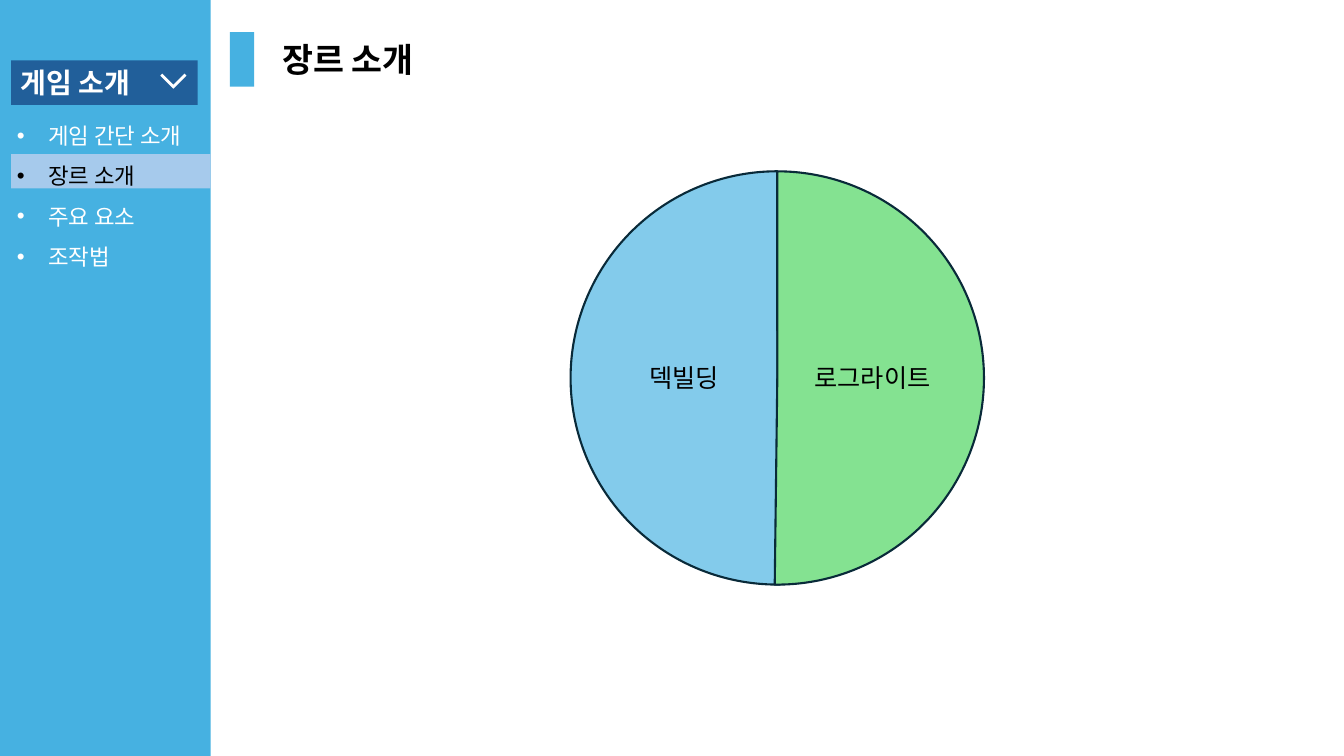
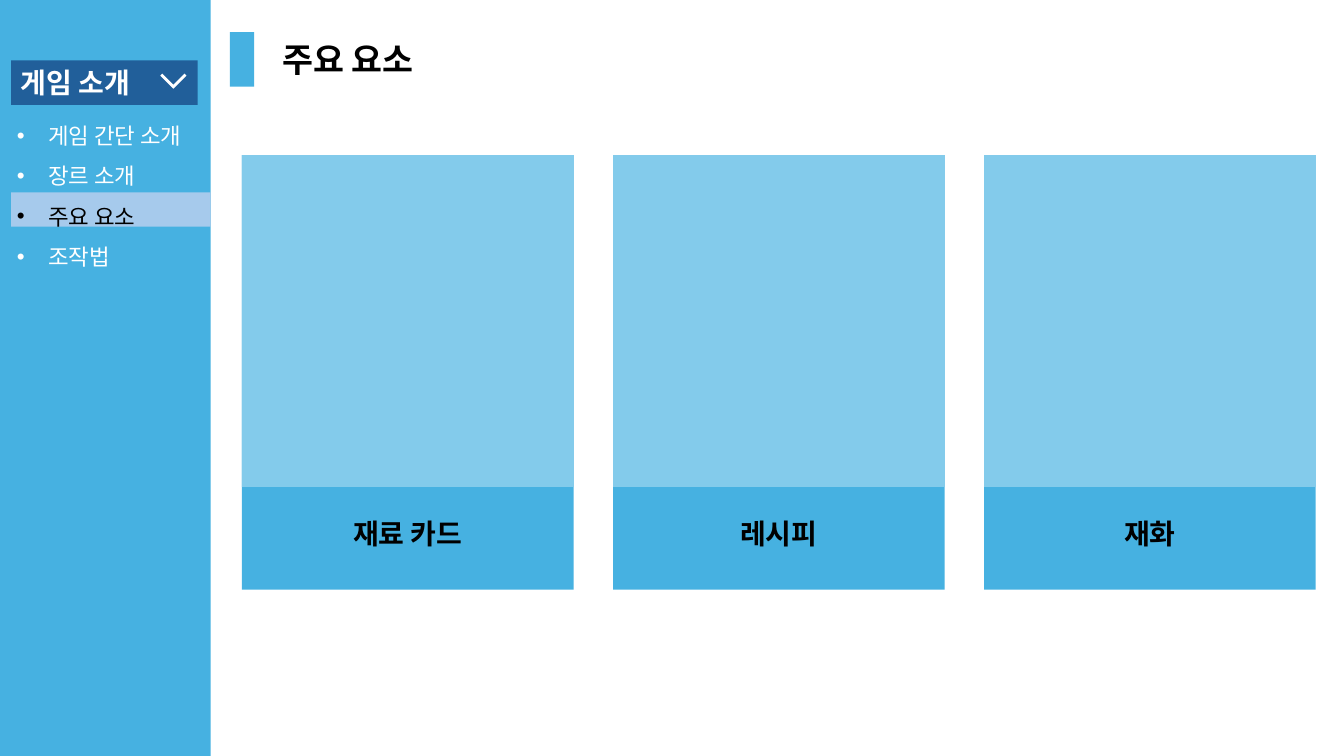
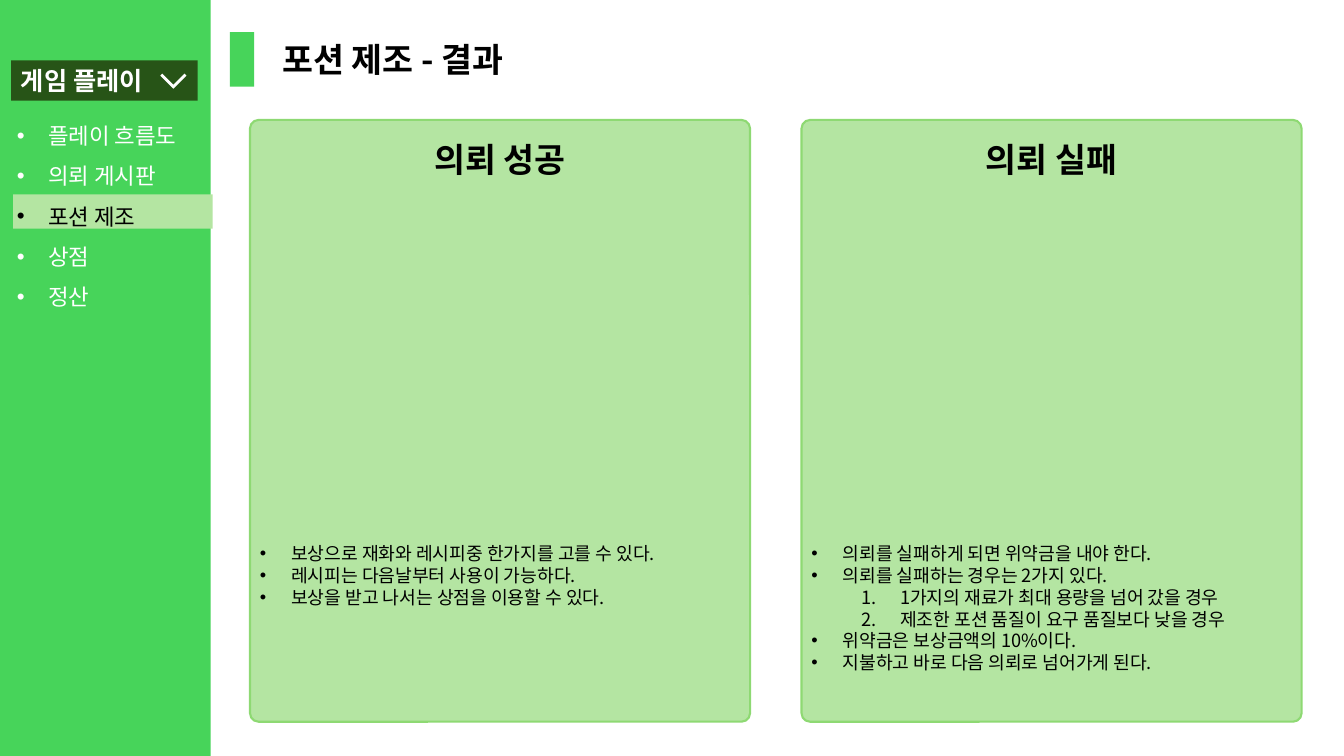
from lxml.etree import SubElement
from pptx import Presentation
from pptx.dml.color import RGBColor
from pptx.enum.shapes import MSO_SHAPE as Shape
from pptx.enum.text import MSO_ANCHOR as Anchor, MSO_AUTO_SIZE as AutoSize, PP_ALIGN as Align
from pptx.oxml.ns import qn
from pptx.util import Inches, Pt

FONT = "Noto Sans CJK KR"
COLORS = {
    "white": "FFFFFF", "black": "000000",
    "sky": "46B1E1", "navy": "215F9A", "pale_blue": "A6CAEC", "light_sky": "83CBEB",
    "ink": "092A39", "mint": "84E291",
    "green": "47D45A", "forest": "275417", "pale_green": "B4E5A2", "leaf": "8ED973",
}
INTRO = {
    "band": "sky", "header_fill": "navy", "marker": "pale_blue",
    "header": "게임 소개", "header_size": 20, "header_height": 0.44,
    "marker_origin": (0.11, 1.15),
    "menu": ["게임 간단 소개", "장르 소개", "주요 요소", "조작법"],
}
PLAY = {
    "band": "green", "header_fill": "forest", "marker": "pale_green",
    "header": "게임 플레이", "header_size": 18, "header_height": 0.4,
    "marker_origin": (0.13, 1.17),
    "menu": ["플레이 흐름도", "의뢰 게시판", "포션 제조", "상점", "정산"],
}
MENU_PITCH = 0.38


def rgb(color):
    return RGBColor.from_string(COLORS[color])


def inches(box):
    return [Inches(length) for length in box]


def paint(block, fill, line=None):
    block.shadow.inherit = False
    block.fill.solid()
    block.fill.fore_color.rgb = rgb(fill)
    if line:
        block.line.color.rgb = rgb(line)
        block.line.width = Pt(1.5)
    else:
        block.line.fill.background()


def add_block(slide, box, fill, line=None, kind=Shape.RECTANGLE, adjust=()):
    block = slide.shapes.add_shape(kind, *inches(box))
    paint(block, fill, line)
    for index, value in enumerate(adjust):
        block.adjustments[index] = value
    return block


def add_chevron(slide, left, top):
    """Draw the white open arrow that points down."""
    outline = [(0, 0.02), (0.02, 0), (0.13, 0.11), (0.24, 0), (0.26, 0.02), (0.13, 0.15)]
    points = [inches((left + x, top + y)) for x, y in outline]
    builder = slide.shapes.build_freeform(*points[0])
    builder.add_line_segments(points[1:], close=True)
    paint(builder.convert_to_shape(), "white")


def add_run(paragraph, text, size, color="black", bold=False):
    run = paragraph.add_run()
    run.text = text
    font = run.font
    font.size, font.bold = Pt(size), bold
    font.color.rgb = rgb(color)
    font.name = FONT
    SubElement(run._r.get_or_add_rPr(), qn("a:ea")).set("typeface", FONT)


def write_line(frame, text, size, color="black", bold=False, align=Align.LEFT, wrap=False):
    frame.word_wrap = wrap
    frame.auto_size = AutoSize.NONE
    paragraph = frame.paragraphs[0]
    paragraph.alignment = align
    add_run(paragraph, text, size, color, bold)


def add_label(slide, box, text, size, **style):
    label = slide.shapes.add_textbox(*inches(box))
    write_line(label.text_frame, text, size, **style)


def set_bullet(paragraph, numbered=False):
    """Give the paragraph a hanging dot, or an indented number."""
    margin, hang = (0.88, 0.38) if numbered else (0.31, 0.31)
    properties = paragraph._p.get_or_add_pPr()
    properties.set("marL", str(Inches(margin)))
    properties.set("indent", str(-Inches(hang)))
    if numbered:
        properties.set("lvl", "1")
        SubElement(properties, qn("a:buFont")).set("typeface", "+mj-lt")
        SubElement(properties, qn("a:buAutoNum")).set("type", "arabicPeriod")
    else:
        SubElement(properties, qn("a:buFont")).set("typeface", "Arial")
        SubElement(properties, qn("a:buChar")).set("char", "•")


def add_bullets(slide, box, items, size, spacing=None):
    """Write items of (text, color, numbered), one paragraph each."""
    frame = slide.shapes.add_textbox(*inches(box)).text_frame
    frame.word_wrap = True
    for index, (text, color, numbered) in enumerate(items):
        paragraph = frame.add_paragraph() if index else frame.paragraphs[0]
        if spacing:
            paragraph.line_spacing = spacing
        set_bullet(paragraph, numbered)
        add_run(paragraph, text, size, color)


def add_sidebar(slide, section, current):
    add_block(slide, (0, 0, 2.09, 7.5), section["band"])
    header = add_block(slide, (0.11, 0.6, 1.85, section["header_height"]), section["header_fill"])
    header.text_frame.vertical_anchor = Anchor.MIDDLE
    write_line(header.text_frame, section["header"], section["header_size"], "white", True, wrap=True)
    add_chevron(slide, 1.59, 0.73)

    menu = section["menu"]
    left, top = section["marker_origin"]
    marker_top = top + MENU_PITCH * menu.index(current)
    add_block(slide, (left, marker_top, 1.98, 0.34), section["marker"])
    entries = [(entry, "black" if entry == current else "white", False) for entry in menu]
    add_bullets(slide, (0.07, 1.03, 2.02, 0.04 + 0.41 * len(menu)), entries, 16, 1.5)


def add_section_slide(deck, section, current, title, title_width=1.67):
    slide = deck.slides.add_slide(deck.slide_layouts[5])
    add_sidebar(slide, section, current)
    add_block(slide, (2.28, 0.32, 0.24, 0.54), section["band"])
    heading = slide.shapes.title
    heading.left, heading.top, heading.width, heading.height = inches((2.7, 0.34, title_width, 0.5))
    heading.text_frame.vertical_anchor = Anchor.TOP
    write_line(heading.text_frame, title, 24, bold=True)
    return slide


def add_genre_pie(slide, left, top, size):
    # Pie angles are counted in 0.6 units per degree.
    halves = [("light_sky", (53.58, 162)), ("mint", (162, 54.42))]
    for fill, angles in halves:
        add_block(slide, (left, top, size, size), fill, "ink", Shape.PIE, angles)
    for text, offset, width in [("덱빌딩", 0.68, 0.96), ("로그라이트", 2.32, 1.46)]:
        add_label(slide, (left + offset, top + 1.85, width, 0.4), text, 18)


def add_element_card(slide, left, top, caption):
    width, height = 3.29, 4.31
    add_block(slide, (left, top, width, height), "sky")
    add_block(slide, (left, top, width, width), "light_sky")
    add_label(slide, (left, top + 3.54, width, 0.44), caption, 20, bold=True, align=Align.CENTER)


def add_result_panel(slide, left, top, heading, notes):
    width = 4.96
    panel = add_block(slide, (left, top, width, 5.97), "pale_green", "leaf",
                      Shape.ROUNDED_RECTANGLE)
    panel.adjustments[0] = 0.017
    add_label(slide, (left, top + 0.14, width, 0.5), heading, 24, bold=True, align=Align.CENTER)
    items = [(text, "black", numbered) for text, numbered in notes]
    add_bullets(slide, (left, top + 4.14, width, 0.1 + 0.22 * len(notes)), items, 13)


def main():
    deck = Presentation()
    deck.slide_width, deck.slide_height = Inches(13.33), Inches(7.5)

    genre = add_section_slide(deck, INTRO, "장르 소개", "장르 소개")
    add_genre_pie(genre, 5.66, 1.7, 4.1)

    elements = add_section_slide(deck, INTRO, "주요 요소", "주요 요소")
    for column, caption in enumerate(["재료 카드", "레시피", "재화"]):
        add_element_card(elements, 2.4 + 3.68 * column, 1.54, caption)

    results = add_section_slide(deck, PLAY, "포션 제조", "포션 제조 - 결과", 2.72)
    add_result_panel(results, 2.48, 1.19, "의뢰 성공", [
        ("보상으로 재화와 레시피중 한가지를 고를 수 있다.", False),
        ("레시피는 다음날부터 사용이 가능하다.", False),
        ("보상을 받고 나서는 상점을 이용할 수 있다.", False),
    ])
    add_result_panel(results, 7.95, 1.19, "의뢰 실패", [
        ("의뢰를 실패하게 되면 위약금을 내야 한다.", False),
        ("의뢰를 실패하는 경우는 2가지 있다.", False),
        ("1가지의 재료가 최대 용량을 넘어 갔을 경우", True),
        ("제조한 포션 품질이 요구 품질보다 낮을 경우", True),
        ("위약금은 보상금액의 10%이다.", False),
        ("지불하고 바로 다음 의뢰로 넘어가게 된다.", False),
    ])

    deck.save("out.pptx")


if __name__ == "__main__":
    main()
